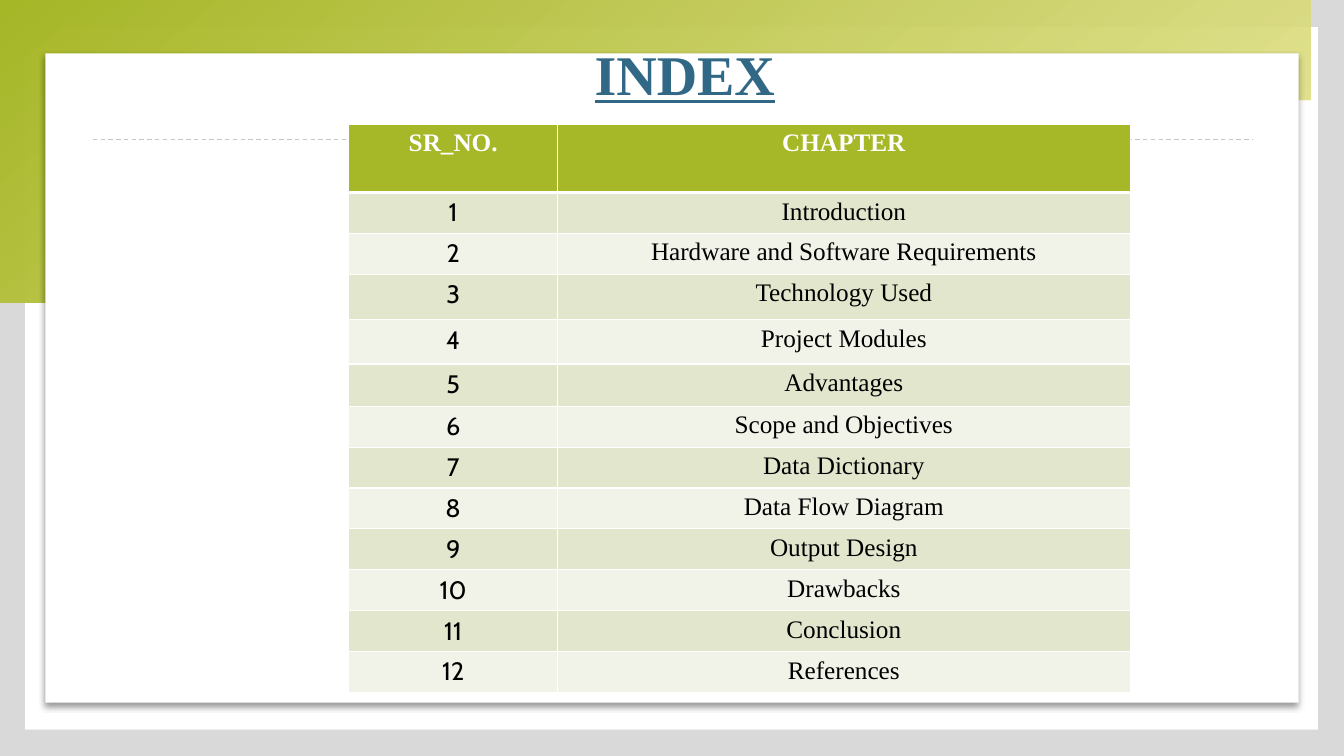
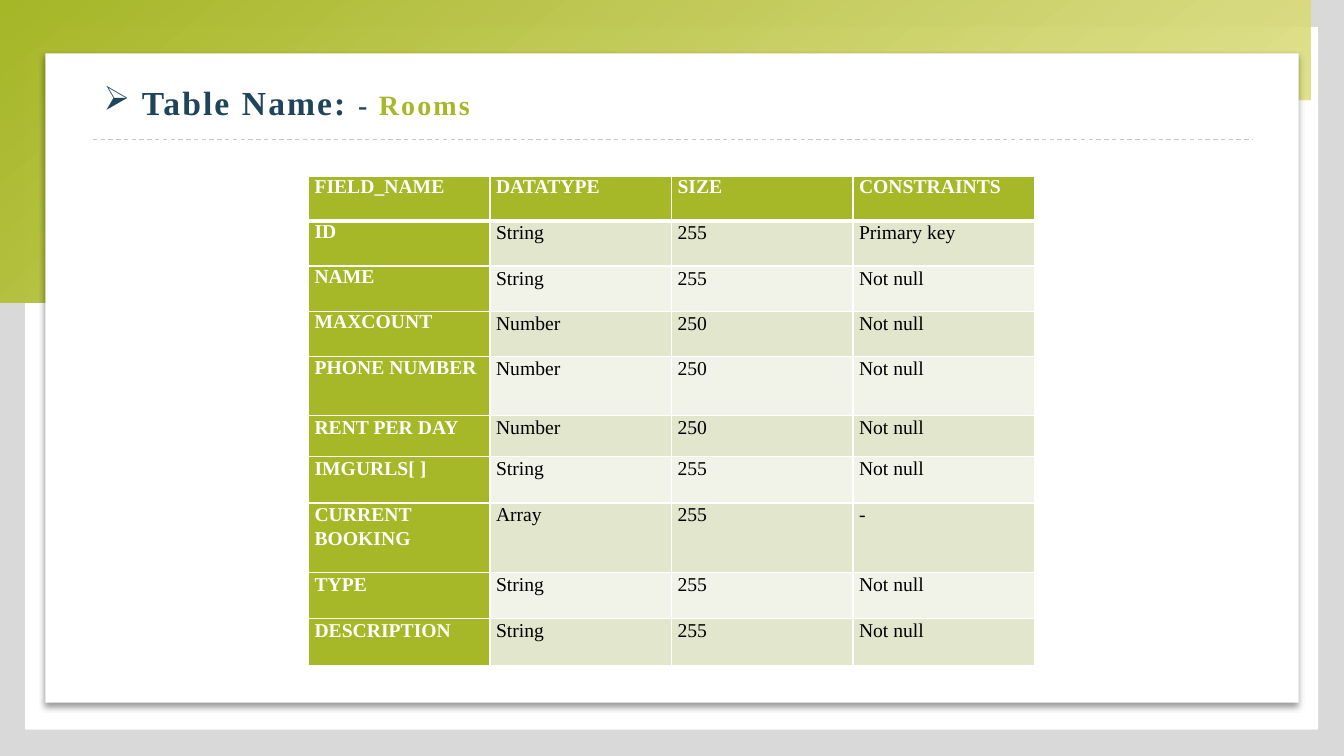
from lxml import etree
from pptx import Presentation
from pptx.dml.color import RGBColor
from pptx.enum.dml import MSO_LINE
from pptx.enum.shapes import MSO_CONNECTOR, MSO_SHAPE
from pptx.enum.text import MSO_ANCHOR, PP_ALIGN
from pptx.oxml.ns import qn
from pptx.util import Inches, Pt

CENTER, LEFT = PP_ALIGN.CENTER, PP_ALIGN.LEFT
MIDDLE = MSO_ANCHOR.MIDDLE
RECT, STRAIGHT, DASH = MSO_SHAPE.RECTANGLE, MSO_CONNECTOR.STRAIGHT, MSO_LINE.DASH

SERIF, SANS = "Times New Roman", "Cabin"
WHITE, BLACK, GREY = "FFFFFF", "000000", "D9D9D9"
GREEN, PALE_GREEN = "A6B727", "E7E591"
BANDS = ("E1E6CD", "F1F3E8")
RULE = "C7C7C7"
BLUE, NAVY = "316886", "20455A"

CHAPTERS = [
    "Introduction", "Hardware and Software Requirements", "Technology Used",
    "Project Modules", "Advantages", "Scope and Objectives", "Data Dictionary",
    "Data Flow Diagram", "Output Design", "Drawbacks", "Conclusion", "References",
]
INDEX_ROWS = [("SR_NO.", "CHAPTER")]
INDEX_ROWS += [(str(n), chapter) for n, chapter in enumerate(CHAPTERS, 1)]
INDEX_HEIGHTS = [0.68, 0.4, 0.4, 0.45, 0.44, 0.42] + [0.4] * 7

ROOM_FIELDS = [
    ("FIELD_NAME", "DATATYPE", "SIZE", "CONSTRAINTS"),
    ("ID", "String", "255", "Primary key"),
    ("NAME", "String", "255", "Not null"),
    ("MAXCOUNT", "Number", "250", "Not null"),
    ("PHONE NUMBER", "Number", "250", "Not null"),
    ("RENT PER DAY", "Number", "250", "Not null"),
    ("IMGURLS[ ]", "String", "255", "Not null"),
    ("CURRENT BOOKING", "Array", "255", "-"),
    ("TYPE", "String", "255", "Not null"),
    ("DESCRIPTION", "String", "255", "Not null"),
]
ROOM_HEIGHTS = [0.44, 0.45, 0.45, 0.45, 0.58, 0.41, 0.46, 0.69, 0.46, 0.46]

# Lower edge of the green wave: start point, then Bezier segments
WAVE_START = (0, 2.58)
WAVE = [
    ((1.22, 3.04), (2.66, 3.11), (3.93, 2.74)),
    ((5.3, 2.35), (6.48, 1.51), (7.92, 1.36)),
    ((9.36, 1.21), (10.88, 1.8), (12.27, 1.42)),
    ((12.67, 1.31), (13.04, 1.11), (13.33, 0.85)),
]


def rgb(color):
    return RGBColor.from_string(color)


def sub(parent, tag, **attrs):
    return etree.SubElement(parent, qn(tag), {k: str(v) for k, v in attrs.items()})


def bezier(p0, p1, p2, p3, steps=24):
    """Points along a cubic curve, without its first point."""
    points = []
    for i in range(1, steps + 1):
        t = i / steps
        u = 1 - t
        points.append(tuple(u**3 * a + 3 * u * u * t * b + 3 * u * t * t * c + t**3 * d
                            for a, b, c, d in zip(p0, p1, p2, p3)))
    return points


def add_panel(s, *box):
    sp = s.shapes.add_shape(RECT, *map(Inches, box))
    sp.shadow.inherit = False
    sp.fill.solid()
    sp.fill.fore_color.rgb = rgb(WHITE)
    sp.line.fill.background()
    return sp


def add_wave(s):
    points = [WAVE_START]
    for segment in WAVE:
        points += bezier(points[-1], *segment)
    points.append((WAVE[-1][-1][0], 0))
    builder = s.shapes.build_freeform(0, 0, scale=Inches(1))
    builder.add_line_segments(points, close=True)
    sp = builder.convert_to_shape()
    sp.shadow.inherit = False
    sp.line.fill.background()
    sp.fill.gradient()
    sp.fill.gradient_angle = 310
    for stop, position, color in zip(sp.fill.gradient_stops, (0, 1), (GREEN, PALE_GREEN)):
        stop.position = position
        stop.color.rgb = rgb(color)
    light = sp._element.spPr.findall(".//" + qn("a:srgbClr"))[-1]
    sub(light, "a:alpha", val=90000)


def add_slide(prs):
    """Blank slide with the wave, the raised white card and the dashed rule."""
    s = prs.slides.add_slide(prs.slide_layouts[6])
    add_panel(s, 0.25, 0.27, 12.82, 6.97)
    add_wave(s)
    card = add_panel(s, 0.45, 0.53, 12.43, 6.44)
    shadow = sub(card._element.spPr.find(qn("a:effectLst")), "a:outerShdw",
                 blurRad=Pt(4), dist=Pt(3), dir=5400000, algn="t", rotWithShape=0)
    sub(sub(shadow, "a:srgbClr", val=BLACK), "a:alpha", val=40000)
    rule = s.shapes.add_connector(STRAIGHT, *map(Inches, (0.92, 1.38, 12.43, 1.38)))
    rule.line.color.rgb = rgb(RULE)
    rule.line.width = Pt(0.79)
    rule.line.dash_style = DASH
    sub(rule._element.spPr, "a:effectLst")
    return s


def add_run(p, text, size, color, bold=True, font=SERIF):
    r = p.add_run()
    r.text = text
    r.font.name, r.font.size, r.font.bold = font, Pt(size), bold
    r.font.color.rgb = rgb(color)
    return r


def add_title(s, *box):
    tf = s.shapes.add_textbox(*map(Inches, box)).text_frame
    tf.word_wrap = True
    tf.vertical_anchor = MIDDLE
    return tf.paragraphs[0]


def set_borders(cell, top=1, bottom=1):
    tc_pr = cell._tc.get_or_add_tcPr()
    for side, width in (("L", 1), ("R", 1), ("T", top), ("B", bottom)):
        ln = sub(tc_pr, "a:ln" + side, w=Pt(width))
        sub(sub(ln, "a:solidFill"), "a:srgbClr", val=WHITE)


def add_grid(s, left, top, rows, widths, heights, size, align,
             key_column=False, key_font=SERIF, margins=None, spacing=None):
    """Banded table; spacing(row, column) gives the line spacing of a cell."""
    box = map(Inches, (left, top, sum(widths), sum(heights)))
    table = s.shapes.add_table(len(rows), len(widths), *box).table
    table.first_col = key_column
    for column, width in zip(table.columns, widths):
        column.width = Inches(width)
    for i, (values, height) in enumerate(zip(rows, heights)):
        table.rows[i].height = Inches(height)
        for j, value in enumerate(values):
            cell = table.cell(i, j)
            strong = i == 0 or (key_column and j == 0)
            set_borders(cell, top=3 if i == 1 else 1, bottom=3 if i == 0 else 1)
            cell.fill.solid()
            cell.fill.fore_color.rgb = rgb(GREEN if strong else BANDS[(i - 1) % 2])
            if margins:
                cell.margin_left = cell.margin_right = Inches(margins[0])
                cell.margin_top = cell.margin_bottom = Inches(margins[1])
            p = cell.text_frame.paragraphs[0]
            p.alignment = align
            if spacing:
                p.line_spacing = spacing(i, j)
            add_run(p, value, size, WHITE if strong else BLACK, strong,
                    key_font if i and j == 0 else SERIF)


def room_spacing(row, column):
    return 1.0 if row == 0 or (column == 0 and row < 5) else 1.07


def build_index(prs):
    s = add_slide(prs)
    add_grid(s, 3.46, 1.23, INDEX_ROWS, [2.07, 5.68], INDEX_HEIGHTS, 18, CENTER,
             key_font=SANS)
    p = add_title(s, 5.8, 0.34, 2.23, 0.77)
    add_run(p, "INDEX", 40, BLUE).font.underline = True


def build_rooms(prs):
    s = add_slide(prs)
    p = add_title(s, 0.93, 0.79, 11.5, 0.5)
    p.line_spacing = 0.9
    p_pr = p._p.get_or_add_pPr()
    p_pr.set("marL", str(Inches(0.38)))
    p_pr.set("indent", str(-Inches(0.38)))
    sub(p_pr, "a:buChar", char="➢")
    for text, size, color in (("Table Name: ", 24, NAVY), ("- ", 20, NAVY),
                              ("Rooms", 20, GREEN)):
        r = add_run(p, text, size, color)
        r._r.get_or_add_rPr().set("spc", "150")
    add_grid(s, 3.06, 1.75, ROOM_FIELDS, [1.8] * 4, ROOM_HEIGHTS, 14, LEFT,
             key_column=True, margins=(0.06, 0), spacing=room_spacing)


def main():
    prs = Presentation()
    prs.slide_width, prs.slide_height = Inches(13.33), Inches(7.5)
    background = prs.slide_master.background.fill
    background.solid()
    background.fore_color.rgb = rgb(GREY)
    build_index(prs)
    build_rooms(prs)
    prs.save("out.pptx")


if __name__ == "__main__":
    main()
